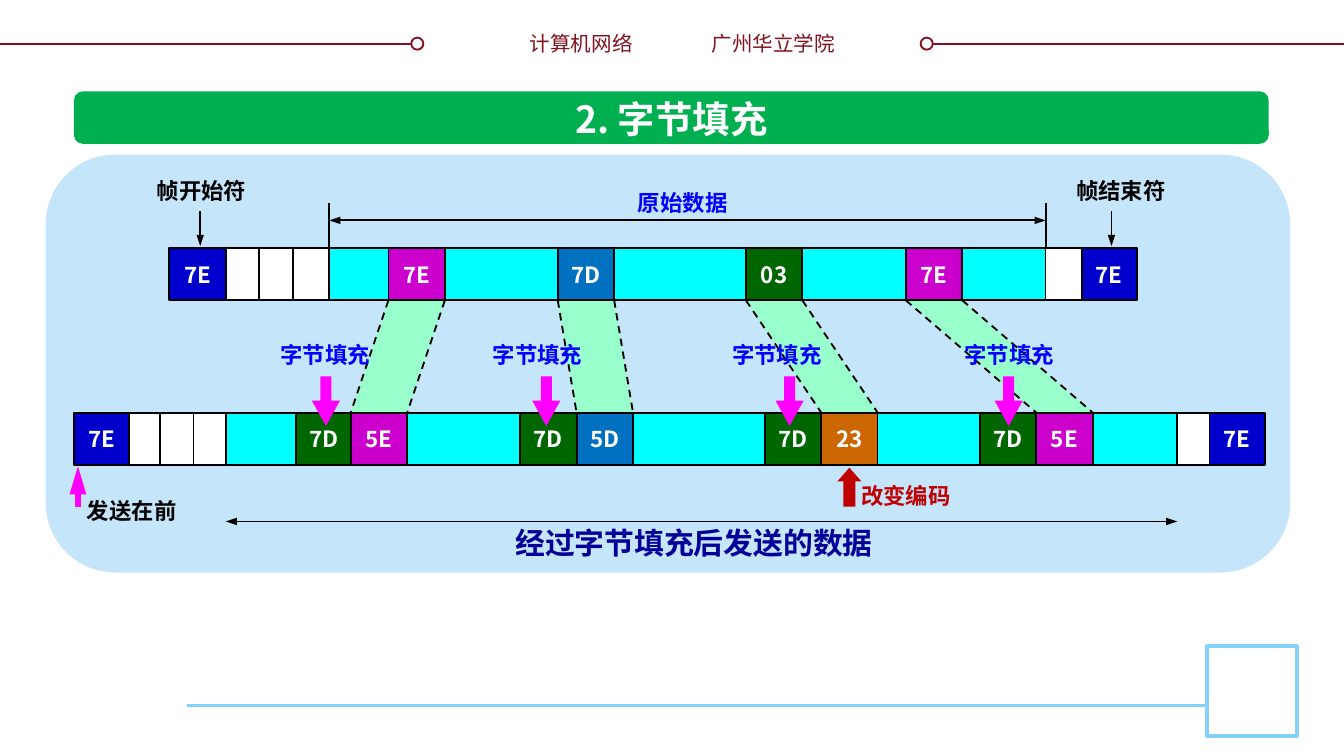
import lxml.etree
import pptx
import pptx.dml.color
import pptx.enum.dml
import pptx.enum.shapes
import pptx.enum.text
import pptx.oxml.ns
import pptx.util

RGB = pptx.dml.color.RGBColor
KIND = pptx.enum.shapes.MSO_SHAPE
FONT = "Noto Sans CJK SC"
WIDE = pptx.util.Inches(10)
TALL = WIDE * 9 // 16
STEP = WIDE / 1000  # the grid has 1000 columns, and rows of the same size

WHITE = RGB(0xFF, 0xFF, 0xFF)
BLACK = RGB(0x00, 0x00, 0x00)
WINE = RGB(0x7F, 0x13, 0x1F)
SKY = RGB(0x85, 0xD1, 0xF7)
PALE = RGB(0xC5, 0xE5, 0xFB)
LEAF = RGB(0x00, 0xB0, 0x50)
MINT = RGB(0x99, 0xFF, 0xCC)
AQUA = RGB(0x00, 0xFF, 0xFF)
NAVY = RGB(0x00, 0x00, 0xCC)
DEEP = RGB(0x00, 0x00, 0x99)
BLUE = RGB(0x00, 0x00, 0xFF)
STEEL = RGB(0x00, 0x70, 0xC0)
PLUM = RGB(0xCC, 0x00, 0xCC)
PINK = RGB(0xFF, 0x00, 0xFF)
GREEN = RGB(0x00, 0x66, 0x00)
RUST = RGB(0xCC, 0x66, 0x00)
RED = RGB(0xC0, 0x00, 0x00)

BYTE, HIGH = 42, 39  # size of one byte cell
TOP, LOW = 184.5, 307  # first grid row of each frame
FRAME = {"word_wrap": False, "margin_left": 0, "margin_right": 0,
         "margin_top": 0, "margin_bottom": 0,
         "vertical_anchor": pptx.enum.text.MSO_ANCHOR.MIDDLE}
SMALL = {"type": "triangle", "w": "sm", "len": "med"}
LARGE = {"type": "triangle", "w": "med", "len": "lg"}

# Cells: column, width, fill, text
FIRST = [(245, 533, AQUA, ""), (126, BYTE, NAVY, "7E"),
         (289, BYTE, PLUM, "7E"), (415, BYTE, STEEL, "7D"),
         (555, BYTE, GREEN, "03"), (674, BYTE, PLUM, "7E"),
         (804, BYTE, NAVY, "7E"), (168, 27, WHITE, ""),
         (193, 27, WHITE, ""), (218, 27, WHITE, ""), (778, 27, WHITE, "")]
NEXT = [(168, 708, AQUA, ""), (55, BYTE, NAVY, "7E"),
        (220, BYTE, GREEN, "7D"), (261, BYTE, PLUM, "5E"),
        (387, BYTE, GREEN, "7D"), (429, BYTE, STEEL, "5D"),
        (569, BYTE, GREEN, "7D"), (611, BYTE, RUST, "23"),
        (729, BYTE, GREEN, "7D"), (771, BYTE, PLUM, "5E"),
        (899, BYTE, NAVY, "7E"), (96, 29, WHITE, ""),
        (119, 28, WHITE, ""), (144, 24, WHITE, ""), (876, 24, WHITE, "")]
# Each changed byte: its column above and its column below
BANDS = [(289, 261), (415, 429), (555, 611), (674, 771)]
# Each stuffed byte: label column and arrow column
STUFF = [(199, 232), (357, 396), (535, 577), (708, 740)]


def grid(*cells):
    return [round(cell * STEP) for cell in cells]


def style(item, values):
    for key, value in values.items():
        setattr(item, key, value)


def paint(shape, fill, edge=None, width=1):
    shape.shadow.inherit = False
    shape.fill.solid()
    shape.fill.fore_color.rgb = fill
    if edge is None:
        shape.line.fill.background()
    else:
        shape.line.color.rgb = edge
        shape.line.width = pptx.util.Pt(width)


def write(shape, text, size, color, bold=True):
    frame = shape.text_frame
    style(frame, FRAME)
    part = frame.paragraphs[0]
    part.alignment = pptx.enum.text.PP_ALIGN.CENTER
    run = part.add_run()
    run.text = text
    run.font.color.rgb = color
    style(run.font, {"size": pptx.util.Pt(size), "bold": bold, "name": FONT})
    tag = pptx.oxml.ns.qn("a:ea")
    lxml.etree.SubElement(run.font._element, tag, typeface=FONT)


def label(slide, text, box, color=BLACK, size=12, bold=True):
    write(slide.shapes.add_textbox(*grid(*box)), text, size, color, bold)


def block(slide, kind, box, fill, edge=None, width=1, bends=()):
    shape = slide.shapes.add_shape(kind, *grid(*box))
    paint(shape, fill, edge, width)
    for spot, bend in enumerate(bends):
        shape.adjustments[spot] = bend
    return shape


def line(slide, ends, color=BLACK, width=1, dash=False, tips=(), tip=SMALL):
    """Draw a line; tips may name headEnd (start) and tailEnd (finish)."""
    rule = slide.shapes.add_connector(
        pptx.enum.shapes.MSO_CONNECTOR.STRAIGHT, *grid(*ends))
    rule.line.color.rgb = color
    rule.line.width = pptx.util.Pt(width)
    if dash:
        rule.line.dash_style = pptx.enum.dml.MSO_LINE.DASH
    shape = rule._element.spPr
    for name in tips:
        lxml.etree.SubElement(shape.find(pptx.oxml.ns.qn("a:ln")),
                              pptx.oxml.ns.qn("a:" + name), tip)
    lxml.etree.SubElement(shape, pptx.oxml.ns.qn("a:effectLst"))


def band(slide, above, below):
    """Fill the slanted link between a byte and its new place."""
    foot = TOP + HIGH
    form = slide.shapes.build_freeform(*grid(above, foot), scale=1.0)
    form.add_line_segments([grid(above + BYTE, foot),
                            grid(below + BYTE, LOW), grid(below, LOW)])
    paint(form.convert_to_shape(), MINT)


def cells(slide, row, items):
    for left, width, fill, text in items:
        cell = block(slide, KIND.RECTANGLE, (left, row, width, HIGH),
                     fill, BLACK)
        if text:
            write(cell, text, 12, WHITE)


def trim(slide):
    """Draw the header and footer lines with their names."""
    for start, stop, ring in [(0, 306, 306), (694, 1000, 685)]:
        line(slide, (start, 33, stop, 33), WINE)
        block(slide, KIND.OVAL, (ring, 28, 9, 9), WHITE, WINE)
    label(slide, "计算机网络", (384, 18, 97, 29), WINE, 11, False)
    label(slide, "广州华立学院", (520, 18, 111, 29), WINE, 11, False)
    line(slide, (139, 525, 898, 525), SKY, 1.5)
    block(slide, KIND.RECTANGLE, (898, 481, 67, 67), WHITE, SKY, 2)


def marks(slide):
    """Name the parts of both frames."""
    both = ("headEnd", "tailEnd")
    for text, left, mid in [("帧开始符", 106, 149), ("帧结束符", 790, 827)]:
        label(slide, text, (left, 127, 88, 30))
        line(slide, (mid, 157, mid, 183), tips=["tailEnd"])
    for side in (245, 778):
        line(slide, (side, 151, side, 184))
    line(slide, (245, 164, 778, 164), tips=both)
    label(slide, "原始数据", (464, 136, 88, 30), BLUE)
    line(slide, (168, 388, 876, 388), tips=both)
    label(slide, "经过字节填充后发送的数据", (349, 385, 335, 37), DEEP, 16)
    line(slide, (58, 377, 58, 347), PINK, 3, tips=["tailEnd"], tip=LARGE)
    label(slide, "发送在前", (54, 365, 88, 30))
    for left, spot in STUFF:
        label(slide, "字节填充", (left - 1, 249, 88, 30), BLUE)
        block(slide, KIND.DOWN_ARROW, (spot, 280, 21, 37), PINK,
              bends=(0.39, 0.9))
    block(slide, KIND.UP_ARROW, (623, 348, 18, 29), RED, bends=(0.5, 0.57))
    label(slide, "改变编码", (630, 354, 88, 30), RED)


def main():
    deck = pptx.Presentation()
    style(deck, {"slide_width": WIDE, "slide_height": TALL})
    slide = deck.slides.add_slide(deck.slide_layouts[6])
    trim(slide)
    block(slide, KIND.ROUNDED_RECTANGLE, (55, 68, 889, 39), LEAF,
          bends=[0.17])
    label(slide, "2. 字节填充", (412, 66, 175, 44), WHITE, 20)
    block(slide, KIND.ROUNDED_RECTANGLE, (34, 115, 926, 311), PALE)
    for above, below in BANDS:
        band(slide, above, below)
    cells(slide, TOP, FIRST)
    cells(slide, LOW, NEXT)
    for above, below in BANDS:
        for side in (0, BYTE):
            line(slide, (above + side, TOP + HIGH, below + side, LOW),
                 dash=True)
    marks(slide)
    deck.save("out.pptx")


if __name__ == "__main__":
    main()
